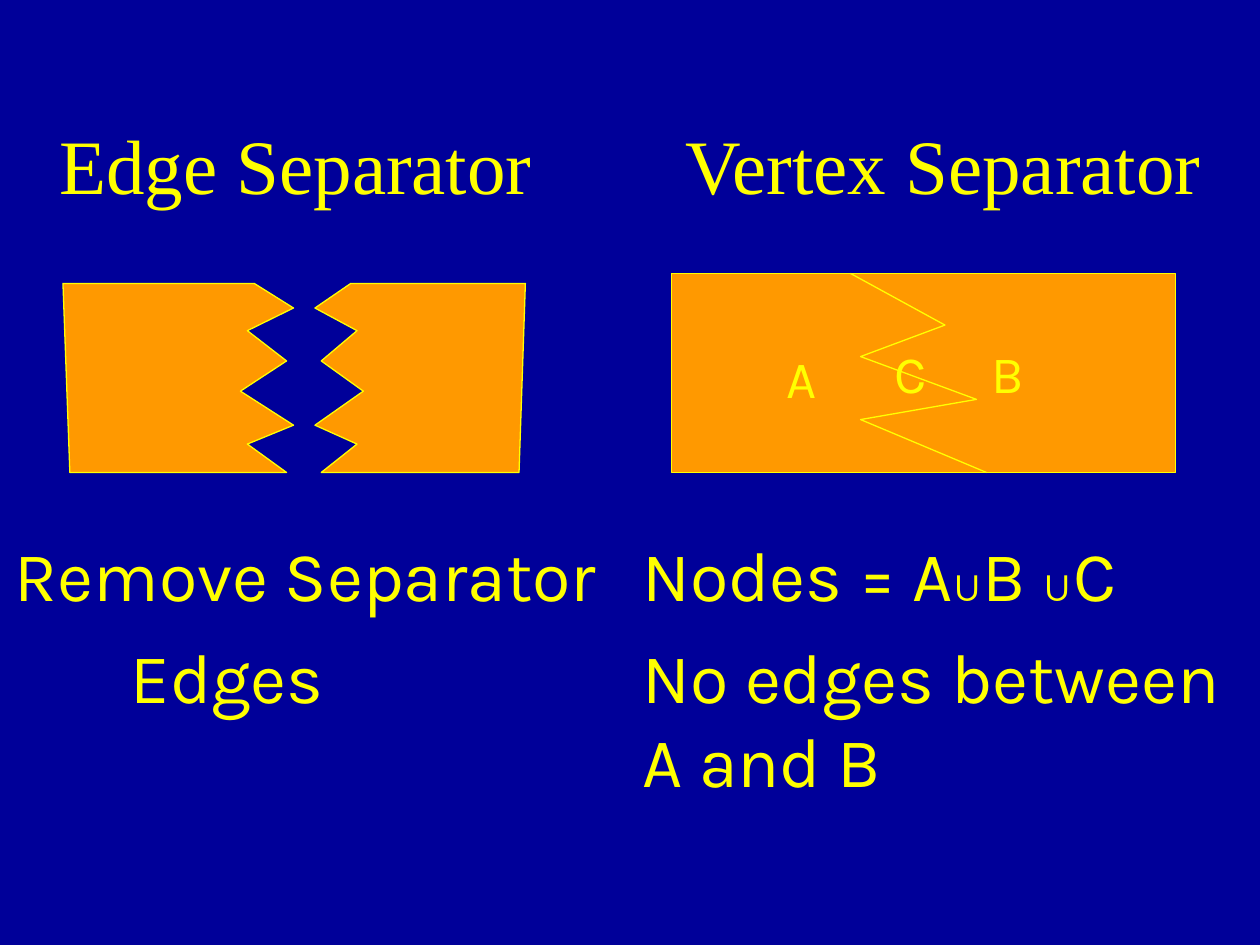
from lxml import etree
from pptx import Presentation, util as u
from pptx.dml.color import RGBColor
from pptx.enum import shapes, text
from pptx.oxml.ns import qn

COLORS = {"background": "000099", "text": "FFFF00", "piece": "FF9900", "outline": "FFFF00"}
UNIT = u.Inches(1)  # one grid cell; the slide is 10 columns by 7.5 rows
COLUMNS, ROWS = 10, 7.5
BODY, SYMBOL = ("Karla", 40), ("Arial", 24)
TITLE, LABEL = ("Times New Roman", 44), ("Karla", 30)

# Each paragraph is a list of (text, style) runs.
TITLES = [[("Edge Separator\tVertex Separator", TITLE)]]
EDGE_NOTES = [[("Remove Separator", BODY)], [("Edges", BODY)]]
VERTEX_NOTES = [
    [("Nodes = A", BODY), ("∪", SYMBOL), ("B ", BODY), ("∪", SYMBOL), ("C", BODY)],
    [("No edges between A and B", BODY)],
]
LEFT_PART = [[("A", LABEL)]]
OTHER_PARTS = [[("C\tB", LABEL)]]

# Torn outline, as shares of a piece's width (from its outer side) and height.
TORN = [(0, 0), (0.83, 0), (1, 0.13), (0.8, 0.25), (0.97, 0.41), (0.77, 0.57),
        (1, 0.75), (0.8, 0.85), (0.97, 1), (0.03, 1)]
# Outer side and signed width; a negative width mirrors the outline.
PIECES = [(0.5, 1.83), (4.17, -1.67)]
PIECE_TOP, PIECE_HEIGHT = 2.25, 1.5
GRAPH = (5.33, 2.17, 4, 1.58)
SEPARATOR = [(6.75, 2.17), (7.5, 2.58), (6.83, 2.83), (7.75, 3.17), (6.83, 3.33), (7.83, 3.75)]


def grid(*lengths):
    return [round(length * UNIT) for length in lengths]


def color(name):
    return RGBColor.from_string(COLORS[name])


def paint(shape, filled=True):
    shape.shadow.inherit = False
    if filled:
        shape.fill.solid()
        shape.fill.fore_color.rgb = color("piece")
    else:
        shape.fill.background()
    shape.line.color.rgb = color("outline")
    shape.line.width = u.Pt(0.75)


def add_outline(page, points, closed):
    corners = [grid(*point) for point in points]
    builder = page.shapes.build_freeform(*corners[0])
    builder.add_line_segments(corners[1:], close=closed)
    paint(builder.convert_to_shape(), filled=closed)


def write(box, paragraphs, wrap=True, middle=False, inset=0.1, tab=None, indent=0, before=10):
    """Fill a box; indent and space before apply after the first paragraph."""
    frame = box.text_frame
    frame.word_wrap = wrap
    frame.vertical_anchor = text.MSO_ANCHOR.MIDDLE if middle else text.MSO_ANCHOR.TOP
    frame.margin_left = u.Inches(inset)
    for index, runs in enumerate(paragraphs):
        para = frame.add_paragraph() if index else frame.paragraphs[0]
        para.alignment = text.PP_ALIGN.LEFT
        properties = para._p.get_or_add_pPr()
        if index:
            para.space_before = u.Pt(before)
            properties.set("marL", str(u.Inches(indent)))
        if tab:
            stops = etree.SubElement(properties, qn("a:tabLst"))
            etree.SubElement(stops, qn("a:tab"), pos=str(u.Inches(tab)), algn="l")
        for words, (font, size) in runs:
            span = para.add_run()
            span.text = words
            span.font.name, span.font.size = font, u.Pt(size)
            span.font.color.rgb = color("text")


def add_text(page, place, paragraphs, **layout):
    write(page.shapes.add_textbox(*grid(*place)), paragraphs, **layout)


def main():
    deck = Presentation()
    deck.slide_width, deck.slide_height = grid(COLUMNS, ROWS)
    page = deck.slides.add_slide(deck.slide_layouts[6])
    page.background.fill.solid()
    page.background.fill.fore_color.rgb = color("background")

    add_text(page, (0, 0.67, COLUMNS, 1.25), TITLES, middle=True, inset=0.47, tab=4.97)

    for side, width in PIECES:
        points = [(side + x * width, PIECE_TOP + y * PIECE_HEIGHT) for x, y in TORN]
        add_outline(page, points, closed=True)

    graph = page.shapes.add_shape(shapes.MSO_SHAPE.RECTANGLE, *grid(*GRAPH))
    paint(graph)
    write(graph, OTHER_PARTS, middle=True, inset=1.77, tab=0.77)
    add_outline(page, SEPARATOR, closed=False)

    add_text(page, (0.02, 4.17, 5.03, 1.57), EDGE_NOTES, wrap=False, indent=0.92)
    add_text(page, (5, 4.17, 5.08, 2.24), VERTEX_NOTES)
    add_text(page, (6.14, 2.7, 0.46, 0.6), LEFT_PART, wrap=False)
    deck.save("out.pptx")


if __name__ == "__main__":
    main()
